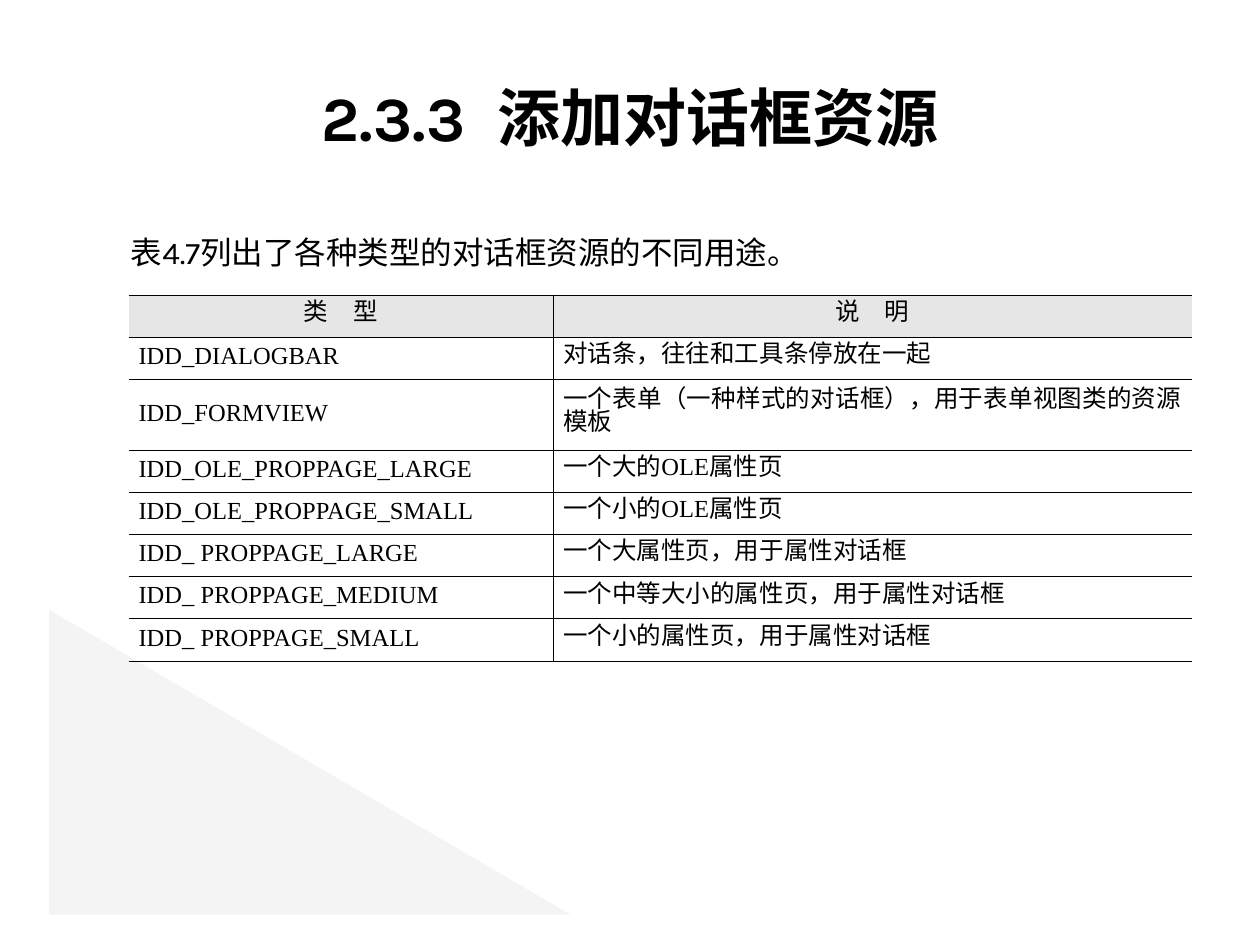
from dataclasses import dataclass

from lxml import etree
from pptx import Presentation
from pptx.dml.color import RGBColor
from pptx.enum.shapes import MSO_SHAPE
from pptx.enum.text import MSO_ANCHOR, PP_ALIGN
from pptx.oxml.ns import qn
from pptx.util import Inches, Pt

CENTER, LEFT, JUSTIFY = PP_ALIGN.CENTER, PP_ALIGN.LEFT, PP_ALIGN.JUSTIFY
MIDDLE = MSO_ANCHOR.MIDDLE
TRIANGLE = MSO_SHAPE.RIGHT_TRIANGLE
WIDTH, HEIGHT = Inches(10), Inches(7.5)
HEADING, BODY = "Karla", "Times New Roman"
BLACK, GRAY, PALE = "000000", "E6E6E6", "F2F2F2"
COLUMNS = (3.37, 5.07)
ROW, TALL_ROW, TALL_INDEX = 0.335, 0.56, 2
ROWS = (
    ("类　型", "说　明"),
    ("IDD_DIALOGBAR", "对话条，往往和工具条停放在一起"),
    ("IDD_FORMVIEW", "一个表单（一种样式的对话框），用于表单视图类的资源模板"),
    ("IDD_OLE_PROPPAGE_LARGE", "一个大的OLE属性页"),
    ("IDD_OLE_PROPPAGE_SMALL", "一个小的OLE属性页"),
    ("IDD_ PROPPAGE_LARGE", "一个大属性页，用于属性对话框"),
    ("IDD_ PROPPAGE_MEDIUM", "一个中等大小的属性页，用于属性对话框"),
    ("IDD_ PROPPAGE_SMALL", "一个小的属性页，用于属性对话框"),
)


@dataclass(frozen=True)
class Box:
    """Hold a rectangle as percentages of the slide's size."""

    left: float
    top: float
    width: float
    height: float

    def emu(self) -> tuple[int, ...]:
        """Return the rectangle in slide units."""
        return tuple(
            int(share * side / 100)
            for share, side in zip(
                (self.left, self.top, self.width, self.height),
                (WIDTH, HEIGHT, WIDTH, HEIGHT),
            )
        )


TRIANGLE_BOX = Box(3.9, 64.53, 41.4, 32.27)
TITLE_BOX = Box(5, 4, 90, 16.67)
INTRO_BOX = Box(9.4, 24, 56.3, 5.33)
TABLE_BOX = Box(10.2, 31.25, 84.4, 38.67)


def color(value: str) -> RGBColor:
    """Turn a hex string into a colour."""
    return RGBColor.from_string(value)


def write(tf, text: str, *, size: float, font: str, bold: bool = False,
          align=LEFT, spacing=None) -> None:
    """Put one formatted paragraph into a text frame."""
    tf.word_wrap = True
    p = tf.paragraphs[0]
    p.alignment = align
    if spacing:
        p.line_spacing = spacing
    r = p.add_run()
    r.text = text
    r.font.size, r.font.name, r.font.bold = Pt(size), font, bold
    r.font.color.rgb = color(BLACK)


def add_border(cell, side: str, visible: bool) -> None:
    """Draw or hide one side of a cell."""
    ln = etree.SubElement(cell._tc.get_or_add_tcPr(), qn(f"a:ln{side}"),
                          w=str(Pt(0.45)))
    if visible:
        fill = etree.SubElement(ln, qn("a:solidFill"))
        etree.SubElement(fill, qn("a:srgbClr"), val=BLACK)
    else:
        etree.SubElement(ln, qn("a:noFill"))


def format_cell(cell, text: str, header: bool, column: int) -> None:
    """Fill one table cell with its text, borders and background."""
    last = len(COLUMNS) - 1
    for side, visible in (("L", column > 0), ("R", column < last),
                          ("T", True), ("B", True)):
        add_border(cell, side, visible)
    if header:
        cell.fill.solid()
        cell.fill.fore_color.rgb = color(GRAY)
    else:
        cell.fill.background()
    cell.vertical_anchor = MIDDLE
    cell.margin_left = cell.margin_right = Inches(0.08)
    cell.margin_top = cell.margin_bottom = Inches(0.05)
    write(cell.text_frame, text, size=14, font=BODY,
          align=CENTER if header else JUSTIFY, spacing=Pt(13))


def add_resource_table(s) -> None:
    """Add the table of dialog resource types."""
    table = s.shapes.add_table(len(ROWS), len(COLUMNS), *TABLE_BOX.emu()).table
    table.first_row = table.horz_banding = False
    for column, width in zip(table.columns, COLUMNS):
        column.width = Inches(width)
    for i, texts in enumerate(ROWS):
        table.rows[i].height = Inches(TALL_ROW if i == TALL_INDEX else ROW)
        for j, text in enumerate(texts):
            format_cell(table.cell(i, j), text, i == 0, j)


def add_corner_triangle(s) -> None:
    """Add the pale translucent triangle behind everything else."""
    sp = s.shapes.add_shape(TRIANGLE, *TRIANGLE_BOX.emu())
    sp.shadow.inherit = False
    sp.line.fill.background()
    sp.fill.solid()
    sp.fill.fore_color.rgb = color(PALE)
    rgb = sp._element.spPr.find(f".//{qn('a:srgbClr')}")
    etree.SubElement(rgb, qn("a:alpha"), val="83000")
    s.shapes._spTree.insert(2, sp._element)


def main() -> None:
    """Build and save the slide."""
    prs = Presentation()
    prs.slide_width, prs.slide_height = WIDTH, HEIGHT
    s = prs.slides.add_slide(prs.slide_layouts[5])
    add_corner_triangle(s)
    title = s.shapes.title
    title.left, title.top, title.width, title.height = TITLE_BOX.emu()
    title.text_frame.vertical_anchor = MIDDLE
    write(title.text_frame, "2.3.3  添加对话框资源", size=36, font=HEADING,
          bold=True, align=CENTER)
    intro = s.shapes.add_textbox(*INTRO_BOX.emu())
    write(intro.text_frame, "表4.7列出了各种类型的对话框资源的不同用途。",
          size=18, font=HEADING)
    add_resource_table(s)
    prs.save("out.pptx")


if __name__ == "__main__":
    main()
